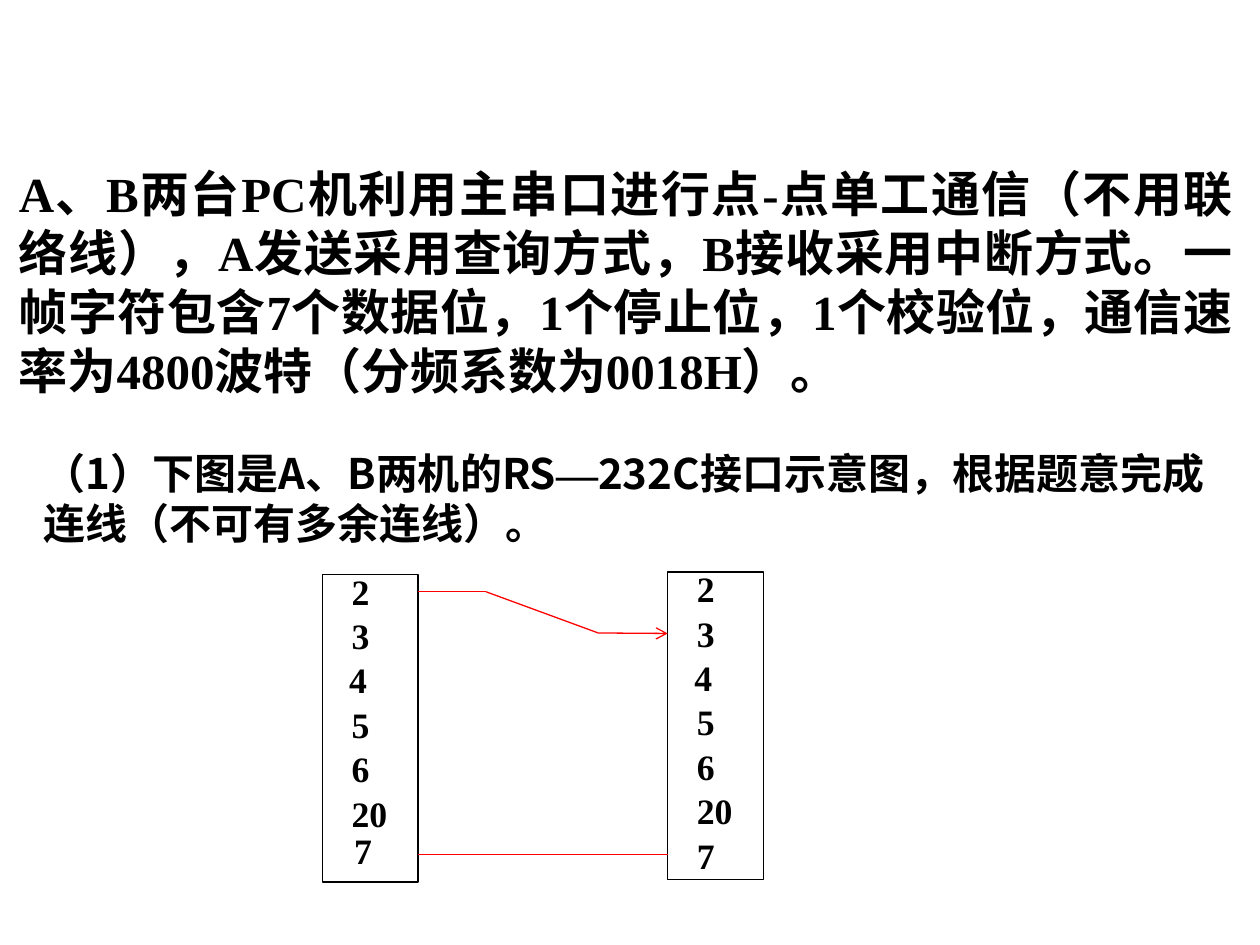
from dataclasses import dataclass

from lxml.etree import SubElement
from pptx import Presentation
from pptx.dml.color import RGBColor
from pptx.enum.shapes import MSO_CONNECTOR, MSO_SHAPE
from pptx.enum.text import MSO_AUTO_SIZE, PP_ALIGN
from pptx.oxml.ns import qn
from pptx.util import Cm, Pt


@dataclass(frozen=True)
class Theme:
    ink: RGBColor = RGBColor(0, 0, 0)
    wire: RGBColor = RGBColor(255, 0, 0)
    latin: str = "Times New Roman"
    cjk: str = "Noto Sans CJK SC"
    intro: float = 28
    question: float = 24
    pin: float = 20.4
    line: float = 0.75


THEME = Theme()
PINS = ["2", "3", "4", "5", "6", "20", "7"]
PIN_PITCH = 5.37 / (len(PINS) - 1)


def add_text(s, box, runs, size, align=PP_ALIGN.LEFT, inset=(0.25, 0.13),
             before=0, grow=False):
    """Add one paragraph; runs are (text, latin font, East Asian font)."""
    tf = s.shapes.add_textbox(*map(Cm, box)).text_frame
    tf.word_wrap = True
    tf.auto_size = MSO_AUTO_SIZE.SHAPE_TO_FIT_TEXT if grow else MSO_AUTO_SIZE.NONE
    tf.margin_left = tf.margin_right = Cm(inset[0])
    tf.margin_top = tf.margin_bottom = Cm(inset[1])
    p = tf.paragraphs[0]
    p.alignment = align
    p.space_before = Pt(before)
    # Keep punctuation inside the margin
    p._p.get_or_add_pPr().set("hangingPunct", "0")
    for text, latin, east_asian in runs:
        r = p.add_run()
        r.text = text
        r.font.size = Pt(size)
        r.font.bold = True
        r.font.name = latin
        r.font.color.rgb = THEME.ink
        SubElement(r.font._element, qn("a:ea"), typeface=east_asian)


def add_wire(s, start, end, arrow=False):
    c = s.shapes.add_connector(MSO_CONNECTOR.STRAIGHT, *map(Cm, start + end))
    c.line.color.rgb = THEME.wire
    c.line.width = Pt(THEME.line)
    if arrow:
        SubElement(c.line._get_or_add_ln(), qn("a:tailEnd"), type="arrow")
    SubElement(c._element.spPr, qn("a:effectLst"))


def add_port(s, box, nudges):
    """Draw a serial port outline with its pin numbers inside."""
    left, top, _, _ = box
    sp = s.shapes.add_shape(MSO_SHAPE.RECTANGLE, *map(Cm, box))
    sp.shadow.inherit = False
    sp.fill.background()
    sp.line.color.rgb = THEME.ink
    sp.line.width = Pt(THEME.line)
    for i, pin in enumerate(PINS):
        dx, dy = nudges.get(pin, (0, 0))
        pin_box = (left + 0.59 + dx, top - 0.1 + i * PIN_PITCH + dy, 1.62, 0.89)
        add_text(s, pin_box, [(pin, THEME.latin, THEME.cjk)], THEME.pin,
                 align=PP_ALIGN.JUSTIFY, inset=(0, 0))


def add_wiring(s, left, right, top):
    """Join the ports: pin 2 to pin 3, and ground (pin 7) to ground."""
    bends = [(left, top), (left + 1.37, top), (right - 1.4, top + 0.83),
             (right, top + 0.84)]
    for i, (start, end) in enumerate(zip(bends, bends[1:])):
        add_wire(s, start, end, arrow=i == len(bends) - 2)
    ground = top + 5.29
    add_wire(s, (left, ground), (right, ground))


def add_diagram(s, left, top):
    width, height, gap = 1.93, 6.2, 5.03
    right = left + width + gap
    add_port(s, (left, top + 0.05, width, height),
             {"4": (-0.05, 0), "7": (0.05, -0.14)})
    add_port(s, (right, top, width, height), {"4": (-0.05, 0)})
    add_wiring(s, left + width, right, top + 0.4)


def main():
    prs = Presentation()
    prs.slide_width, prs.slide_height = Cm(25.4), Cm(19.05)
    s = prs.slides.add_slide(prs.slide_layouts[6])

    # Task description
    add_text(s, (0.13, 3.17, 24.97, 5), [(
        "A、B两台PC机利用主串口进行点-点单工通信（不用联络线），A发送采用查询方式，"
        "B接收采用中断方式。一帧字符包含7个数据位，1个停止位，1个校验位，"
        "通信速率为4800波特（分频系数为0018H）。", THEME.latin, THEME.cjk)],
        THEME.intro, align=PP_ALIGN.JUSTIFY, grow=True)

    # First question
    add_text(s, (0.63, 8.89, 24.13, 3.84), [
        ("（1）下图是A、B两机的RS", THEME.cjk, THEME.cjk),
        ("—", THEME.latin, THEME.latin),
        ("232C接口示意图，根据题意完成连线（不可有多余连线）。", THEME.cjk, THEME.cjk),
    ], THEME.question, before=15, grow=True)

    # RS-232C ports and their wires
    add_diagram(s, 6.5, 11.53)
    prs.save("out.pptx")


if __name__ == "__main__":
    main()
